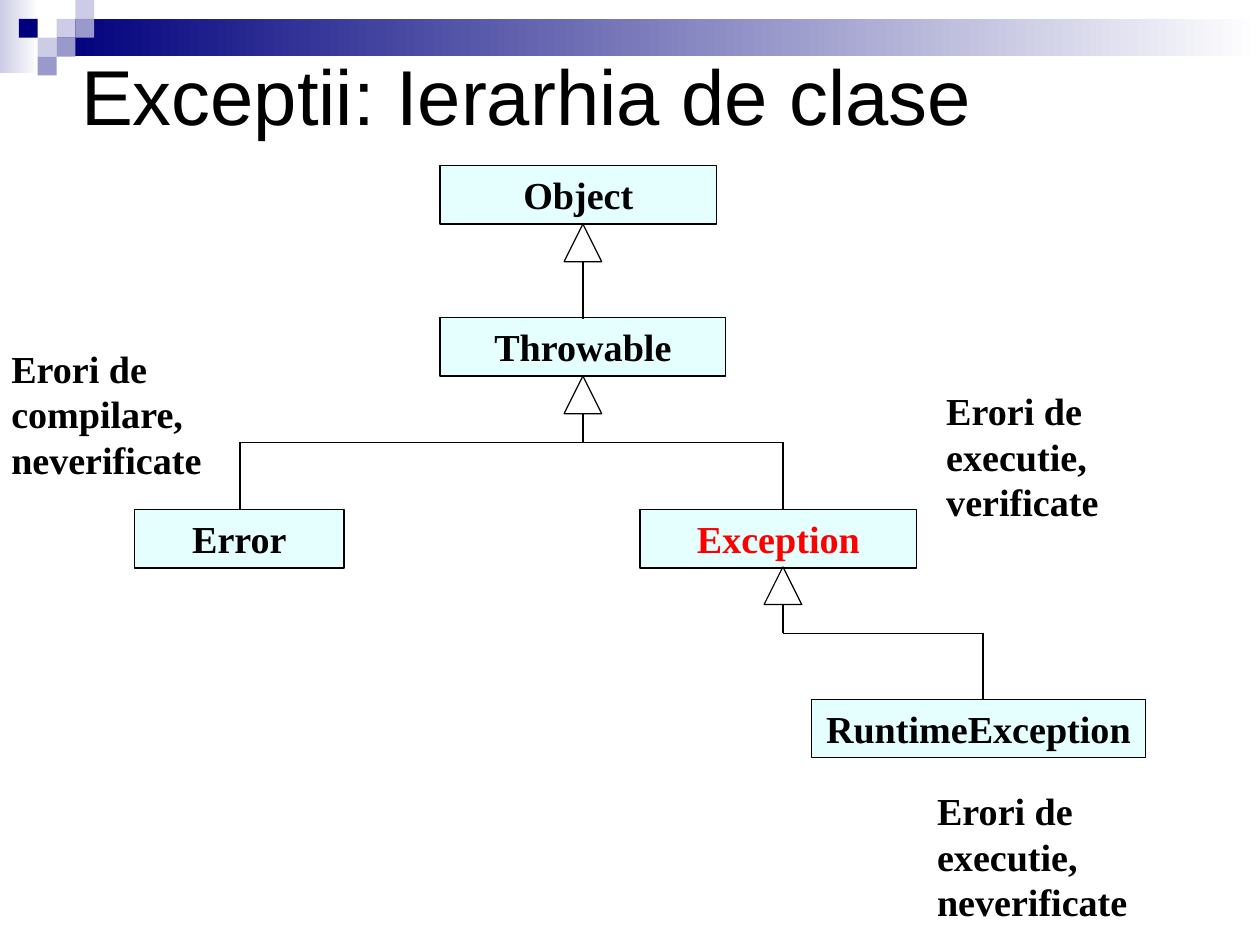
import dataclasses

import pptx
import pptx.dml.color
import pptx.enum.shapes
import pptx.enum.text
import pptx.oxml.ns
import pptx.shapes.autoshape
import pptx.slide
import pptx.util
from lxml import etree

Inches = pptx.util.Inches
Pt = pptx.util.Pt
SHAPE = pptx.enum.shapes.MSO_SHAPE
ALIGN = pptx.enum.text.PP_ALIGN
ANCHOR = pptx.enum.text.MSO_ANCHOR

COLORS = {
    "black": "000000", "white": "FFFFFF", "red": "FF0000", "cyan": "CCFFFF",
    "navy": "00007D", "lavender": "CCCCE6", "violet": "9999CC",
}
LABEL_FONT = {"name": "Times New Roman", "size": Pt(24), "bold": True}
TITLE_FONT = {"name": "Arial", "size": Pt(49), "bold": False}
LABEL_FRAME = {
    "word_wrap": True,
    "vertical_anchor": ANCHOR.TOP,
    "margin_left": Inches(0.1), "margin_right": Inches(0.1),
    "margin_top": Inches(0.05), "margin_bottom": Inches(0.05),
}
TITLE_FRAME = {
    "word_wrap": True,
    "auto_size": pptx.enum.text.MSO_AUTO_SIZE.NONE,
    "vertical_anchor": ANCHOR.MIDDLE,
    "margin_left": Inches(0.11), "margin_right": Inches(0.11),
    "margin_top": Inches(0.06), "margin_bottom": Inches(0.06),
}
CM_PER_INCH = 2.54
CELL = 0.33 / 2
TRIANGLE = 0.33
BOX_HEIGHT = 0.51


@dataclasses.dataclass
class Band:
    left: float
    top: float
    width: float
    height: float
    start: str


@dataclasses.dataclass
class Cell:
    col: int
    row: int
    color: str


@dataclasses.dataclass
class ClassBox:
    name: str
    left: float
    top: float
    width: float
    color: str = "black"


@dataclasses.dataclass
class Inheritance:
    x: float
    tip: float
    stem_end: float
    child_xs: tuple[float, ...] = ()
    child_top: float = 0


@dataclasses.dataclass
class Note:
    text: str
    left: float
    top: float


BANDS = [
    Band(0, 0, 0.34, 0.64, "lavender"),
    Band(0.5, CELL, 10.53, 0.33, "navy"),
]
CELLS = [
    Cell(3, 1, "lavender"), Cell(4, 0, "lavender"), Cell(4, 1, "violet"),
    Cell(2, 2, "lavender"), Cell(1, 1, "navy"), Cell(3, 2, "violet"),
    Cell(2, 3, "violet"),
]
CLASS_BOXES = [
    ClassBox("Object", 3.85, 1.45, 2.42),
    ClassBox("Throwable", 3.85, 2.78, 2.5),
    ClassBox("Error", 1.18, 4.46, 1.83),
    ClassBox("Exception", 5.6, 4.46, 2.42, "red"),
    ClassBox("RuntimeException", 7.1, 6.12, 2.92),
]
INHERITANCES = [
    Inheritance(5.1, 1.96, 2.79),
    Inheritance(5.1, 3.29, 3.87, (2.1, 6.85), 4.46),
    Inheritance(6.85, 4.96, 5.54, (8.6,), 6.12),
]
NOTES = [
    Note("Erori de compilare, neverificate", 0, 2.97),
    Note("Erori de executie, verificate", 8.18, 3.34),
    Note("Erori de executie, neverificate", 8.1, 6.84),
]


def rgb(name: str) -> pptx.dml.color.RGBColor:
    return pptx.dml.color.RGBColor.from_string(COLORS[name])


def apply(target: object, values: dict) -> None:
    for key, value in values.items():
        setattr(target, key, value)


def write(tf, text: str, frame: dict, font: dict, color: str, align: ALIGN) -> None:
    apply(tf, frame)
    p = tf.paragraphs[0]
    p.alignment = align
    r = p.add_run()
    r.text = text
    apply(r.font, font)
    r.font.color.rgb = rgb(color)


def write_label(tf, text: str, color: str, align: ALIGN) -> None:
    write(tf, text, LABEL_FRAME, LABEL_FONT, color, align)
    tf.paragraphs[0].line_spacing = Pt(28.8)


def add_plain(s: pptx.slide.Slide, kind: SHAPE, left: float, top: float,
              width: float, height: float) -> pptx.shapes.autoshape.Shape:
    sp = s.shapes.add_shape(kind, Inches(left), Inches(top), Inches(width), Inches(height))
    sp.shadow.inherit = False
    sp.fill.background()
    sp.line.fill.background()
    return sp


def outline(line) -> None:
    line.color.rgb = rgb("black")
    line.width = Pt(0.75)


def add_line(s: pptx.slide.Slide, x1: float, y1: float, x2: float, y2: float) -> None:
    cxn = s.shapes.add_connector(pptx.enum.shapes.MSO_CONNECTOR.STRAIGHT,
                                 Inches(x1), Inches(y1), Inches(x2), Inches(y2))
    outline(cxn.line)
    etree.SubElement(cxn._element.spPr, pptx.oxml.ns.qn("a:effectLst"))


def add_band(s: pptx.slide.Slide, band: Band) -> None:
    sp = add_plain(s, SHAPE.RECTANGLE, band.left, band.top, band.width, band.height)
    sp.fill.gradient()
    sp.fill.gradient_angle = 0
    for stop, color, position in zip(sp.fill.gradient_stops, (band.start, "white"), (0, 1)):
        stop.color.rgb = rgb(color)
        stop.position = position


def add_cell(s: pptx.slide.Slide, cell: Cell) -> None:
    sp = add_plain(s, SHAPE.RECTANGLE, cell.col * CELL, cell.row * CELL, CELL, CELL)
    sp.fill.solid()
    sp.fill.fore_color.rgb = rgb(cell.color)


def add_class_box(s: pptx.slide.Slide, box: ClassBox) -> None:
    sp = add_plain(s, SHAPE.RECTANGLE, box.left, box.top, box.width, BOX_HEIGHT)
    sp.fill.solid()
    sp.fill.fore_color.rgb = rgb("cyan")
    fill_color = sp._element.spPr.find(".//" + pptx.oxml.ns.qn("a:srgbClr"))
    etree.SubElement(fill_color, pptx.oxml.ns.qn("a:alpha"), val="50000")
    outline(sp.line)
    write_label(sp.text_frame, box.name, box.color, ALIGN.CENTER)


def add_inheritance(s: pptx.slide.Slide, link: Inheritance) -> None:
    add_line(s, link.x, link.tip + TRIANGLE, link.x, link.stem_end)
    if link.child_xs:
        xs = (link.x, *link.child_xs)
        add_line(s, min(xs), link.stem_end, max(xs), link.stem_end)
    for x in link.child_xs:
        add_line(s, x, link.stem_end, x, link.child_top)
    sp = add_plain(s, SHAPE.ISOSCELES_TRIANGLE, link.x - TRIANGLE / 2, link.tip,
                   TRIANGLE, TRIANGLE)
    outline(sp.line)


def add_note(s: pptx.slide.Slide, note: Note) -> None:
    sp = s.shapes.add_textbox(Inches(note.left), Inches(note.top), Inches(1.92), Inches(1.3))
    write_label(sp.text_frame, note.text, "black", ALIGN.LEFT)


def main() -> None:
    prs = pptx.Presentation()
    apply(prs, {"slide_width": Inches(28 / CM_PER_INCH),
                "slide_height": Inches(21 / CM_PER_INCH)})
    s = prs.slides.add_slide(prs.slide_layouts[5])

    # Title
    title = s.shapes.title
    apply(title, {"left": Inches(0.6), "top": Inches(0),
                  "width": Inches(9.92), "height": Inches(1.65)})
    write(title.text_frame, "Exceptii: Ierarhia de clase", TITLE_FRAME, TITLE_FONT,
          "black", ALIGN.LEFT)

    # Header decoration, class diagram and notes
    for draw, items in ((add_band, BANDS), (add_cell, CELLS), (add_class_box, CLASS_BOXES),
                        (add_inheritance, INHERITANCES), (add_note, NOTES)):
        for item in items:
            draw(s, item)

    prs.save("out.pptx")


if __name__ == "__main__":
    main()
